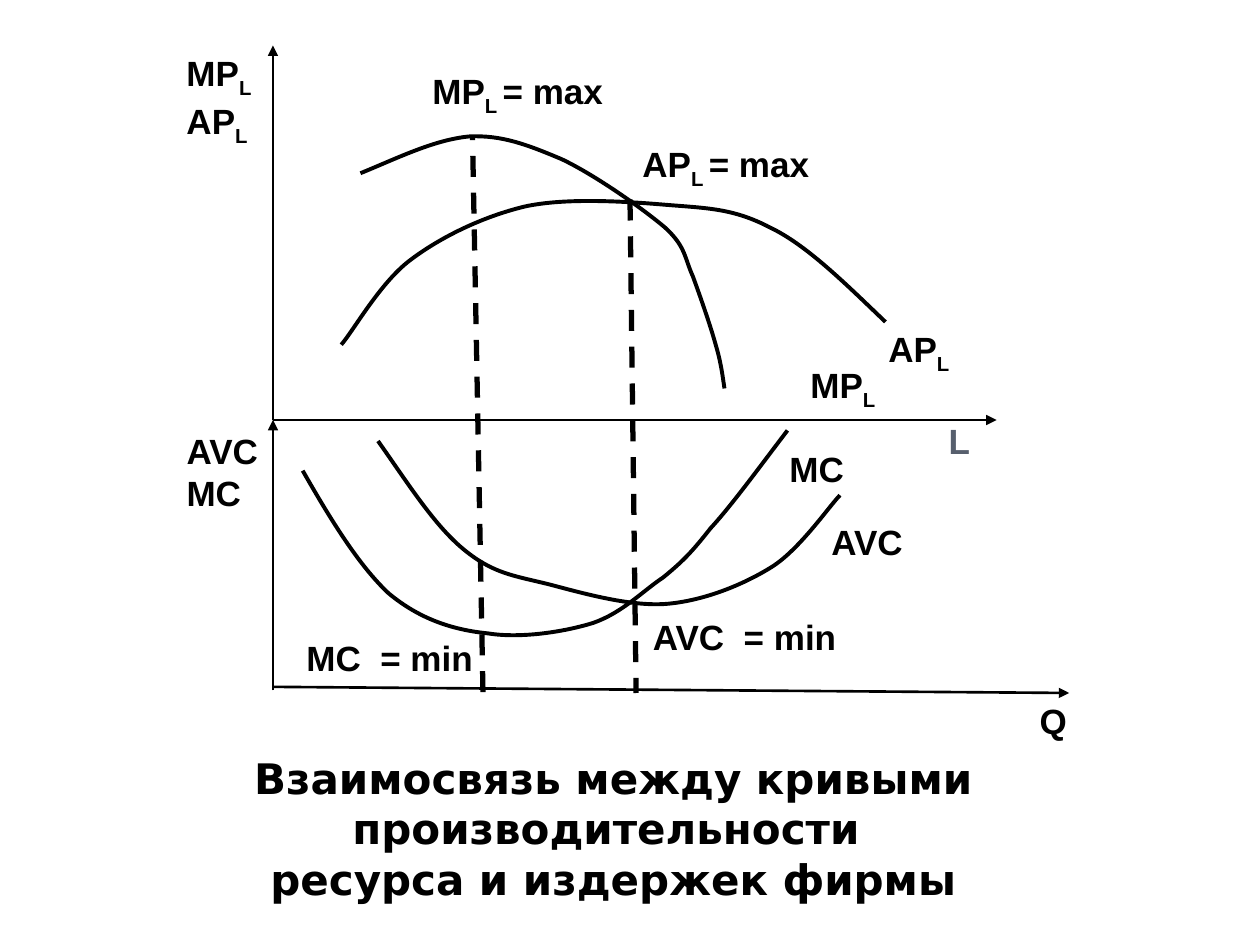
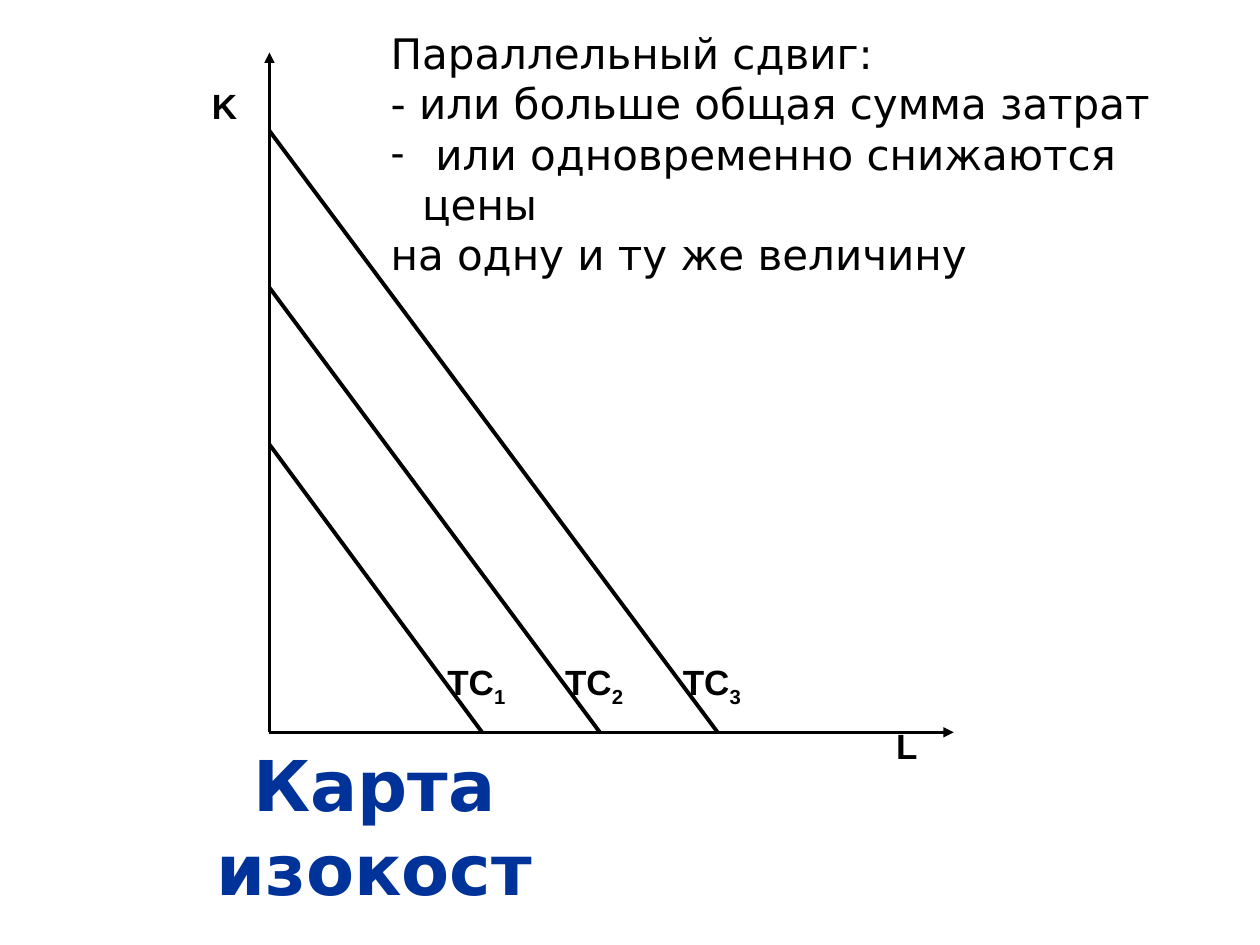
from dataclasses import dataclass

from lxml.etree import SubElement
from pptx import Presentation
from pptx.dml.color import RGBColor
from pptx.enum.dml import MSO_LINE
from pptx.enum.shapes import MSO_CONNECTOR, MSO_SHAPE
from pptx.enum.text import MSO_ANCHOR, MSO_AUTO_SIZE, PP_ALIGN
from pptx.oxml.ns import qn
from pptx.util import Pt

BLACK = "000000"
WHITE = "FFFFFF"
BLUE = "003399"
LABEL_FONT = "Arial"
TEXT_FONT = "DejaVu Sans"
AXIS_WIDTH = 1.5
CURVE_WIDTH = 2.25


@dataclass
class Label:
    text: str
    x: float
    y: float
    w: float
    h: float
    color: str = BLACK


@dataclass
class Line:
    start: tuple[float, float]
    end: tuple[float, float]
    width: float = AXIS_WIDTH
    arrow: bool = False
    dashed: bool = False


PRODUCT_AND_COST_LINES = [
    Line((156, 240), (156, 26), arrow=True),
    Line((156, 240), (569.5, 240), arrow=True),
    Line((156, 394.5), (156, 240), arrow=True),
    Line((156, 392.5), (611, 396), arrow=True),
    Line((360, 114), (363.5, 396), width=3, dashed=True),
    Line((276, 395.5), (270, 78), width=3, dashed=True),
]

AVERAGE_PRODUCT = [
    (506, 184), (483, 162), (461, 140), (440, 130), (419, 119), (404, 119),
    (380, 117), (356, 115), (323, 113), (300, 118), (275, 124), (251, 136),
    (234, 149), (217, 162), (202, 189), (195, 197),
]
MARGINAL_PRODUCT = [
    (206, 99), (228, 90), (248, 80), (268, 78), (287, 77), (302, 83),
    (321, 91), (340, 100), (367, 119), (380, 130), (392, 141), (391, 147),
    (396, 158), (400, 169), (406, 186), (409, 197), (412, 207), (413, 215),
    (414, 222),
]
AVERAGE_COST = [
    (216, 252), (233, 276), (248, 300), (265, 314), (282, 328), (294, 329),
    (314, 334), (333, 339), (361, 347), (382, 345), (403, 343), (425, 334),
    (441, 324), (457, 314), (474, 289), (480, 283),
]
MARGINAL_COST = [
    (173, 269), (189, 297), (205, 323), (222, 339), (240, 354), (259, 360),
    (279, 362), (298, 365), (323, 361), (339, 356), (356, 350), (367, 338),
    (379, 330), (390, 321), (395, 316), (406, 302), (418, 289), (434, 267),
    (450, 246),
]

CURVE_LABELS = [
    Label("АР_L _= max", 360, 78, 138, 32),
    Label("MР_L _= max", 240, 36, 144, 32),
    Label("АР_L", 500.5, 183.5, 58, 32),
    Label("MР_L", 456, 204, 58, 32),
    Label("MР_L\nАР_L", 99.5, 26, 58, 42),
    Label("L", 535, 236, 58, 32, "575F6D"),
    Label("Q", 587, 396, 63, 27),
    Label("AVC\nMC", 99.5, 242, 63, 36),
    Label("MC", 444, 252, 63, 27),
    Label("AVC", 468, 294, 63, 27),
    Label("AVC  = min", 366, 348, 125, 27),
    Label("MC  = min", 168, 360, 125, 27),
]


def rgb(color: str) -> RGBColor:
    return RGBColor.from_string(color)


def write(tf, text: str, *, size=20, color=BLACK, bold=True, font=LABEL_FONT,
          align=PP_ALIGN.LEFT, leading=None, anchor=MSO_ANCHOR.TOP) -> None:
    tf.word_wrap = True
    tf.auto_size = MSO_AUTO_SIZE.NONE
    tf.vertical_anchor = anchor
    for i, line in enumerate(text.split("\n")):
        p = tf.paragraphs[0] if i == 0 else tf.add_paragraph()
        p.alignment = align
        p.space_before = Pt(0)
        if leading:
            p.line_spacing = Pt(leading)
        for j, part in enumerate(line.split("_")):
            if not part:
                continue
            r = p.add_run()
            r.text = part
            r.font.size = Pt(size)
            r.font.name = font
            r.font.bold = bold
            r.font.color.rgb = rgb(color)
            if j % 2:
                r.font._element.set("baseline", "-25000")


def place(sp, x: float, y: float, w: float, h: float) -> None:
    sp.left, sp.top, sp.width, sp.height = Pt(x), Pt(y), Pt(w), Pt(h)


def set_bullet(p, char: str = "", indent: float = 0) -> None:
    pPr = p._p.get_or_add_pPr()
    pPr.set("marL", str(Pt(indent)))
    pPr.set("indent", str(-Pt(indent)))
    if char:
        SubElement(pPr, qn("a:buChar")).set("char", char)
    else:
        SubElement(pPr, qn("a:buNone"))


def add_title(s, text: str, x: float, y: float, w: float, h: float,
              size: float, color: str) -> None:
    place(s.shapes.title, x, y, w, h)
    write(s.shapes.title.text_frame, text, size=size, color=color,
          font=TEXT_FONT, align=PP_ALIGN.CENTER, leading=1.2 * size,
          anchor=MSO_ANCHOR.MIDDLE)


def add_label(shapes, label: Label) -> None:
    sp = shapes.add_textbox(Pt(label.x), Pt(label.y), Pt(label.w), Pt(label.h))
    write(sp.text_frame, label.text, color=label.color)


def add_plate(shapes, label: Label):
    sp = shapes.add_shape(MSO_SHAPE.RECTANGLE, Pt(label.x), Pt(label.y),
                          Pt(label.w), Pt(label.h))
    sp.shadow.inherit = False
    sp.fill.solid()
    sp.fill.fore_color.rgb = rgb(WHITE)
    sp.line.fill.background()
    write(sp.text_frame, label.text, color=label.color)
    return sp


def add_line(shapes, line: Line):
    cxn = shapes.add_connector(MSO_CONNECTOR.STRAIGHT,
                               *map(Pt, line.start + line.end))
    cxn.line.width = Pt(line.width)
    cxn.line.color.rgb = rgb(BLACK)
    if line.dashed:
        cxn.line.dash_style = MSO_LINE.DASH
    spPr = cxn.element.spPr
    if line.arrow:
        SubElement(spPr.find(qn("a:ln")), qn("a:tailEnd")).set("type", "triangle")
    SubElement(spPr, qn("a:effectLst"))
    return cxn


def add_curve(shapes, points: list[tuple[int, int]]) -> None:
    builder = shapes.build_freeform(*points[0], scale=Pt(1))
    builder.add_line_segments(points[1:], close=False)
    sp = builder.convert_to_shape()
    sp.shadow.inherit = False
    sp.fill.background()
    sp.line.width = Pt(CURVE_WIDTH)
    sp.line.color.rgb = rgb(BLACK)
    path = next(sp.element.iter(qn("a:path")))
    segments = path.findall(qn("a:lnTo"))
    knots = [segment[0] for segment in segments]
    for segment in segments:
        path.remove(segment)
    for i in range(0, len(knots), 3):
        SubElement(path, qn("a:cubicBezTo")).extend(knots[i:i + 3])


def build_curves_slide(prs) -> None:
    s = prs.slides.add_slide(prs.slide_layouts[5])
    add_title(s, "Взаимосвязь между кривыми производительности \n"
                 "ресурса и издержек фирмы", 30, 426, 641, 94.5, 24, BLACK)
    for line in PRODUCT_AND_COST_LINES:
        add_line(s.shapes, line)
    for points in (AVERAGE_PRODUCT, MARGINAL_PRODUCT, AVERAGE_COST, MARGINAL_COST):
        add_curve(s.shapes, points)
    for label in CURVE_LABELS:
        add_label(s.shapes, label)


def build_isocost_slide(prs) -> None:
    s = prs.slides.add_slide(prs.slide_layouts[1])
    add_title(s, "Карта изокост", 66, 444, 296, 55.5, 40, BLUE)

    body = s.placeholders[1]
    place(body, 216, 12, 489, 124)
    write(body.text_frame, "Параллельный сдвиг:\n"
                           "- или больше общая сумма затрат\n"
                           " или одновременно снижаются цены\n"
                           "на одну и ту же величину",
          size=24, bold=False, font=TEXT_FONT, leading=28.8)
    for i, p in enumerate(body.text_frame.paragraphs):
        if i == 2:
            set_bullet(p, "-", 18)
        else:
            set_bullet(p)

    left, base = 154, 418.5
    plate_h = 44.5
    shapes = s.shapes.add_group_shape().shapes
    add_plate(shapes, Label("K", 114, 44.5, 40, plate_h))
    add_plate(shapes, Label("L", 505, 410.5, 40, plate_h))
    plates = [add_plate(shapes, Label(f"ТС_{k + 1}", 248.5 + 67.3 * k,
                                      base - plate_h, 54, plate_h))
              for k in range(3)]
    add_line(shapes, Line((left, base), (left, 30), arrow=True))
    add_line(shapes, Line((left, base), (545, base), arrow=True))
    for k, plate in enumerate(plates):
        isocost = add_line(shapes, Line((left, 254 - 89.6 * k),
                                        (275.5 + 67.3 * k, base), CURVE_WIDTH))
        isocost.end_connect(plate, 2)


def main() -> None:
    prs = Presentation()
    prs.slide_width, prs.slide_height = Pt(720), Pt(540)
    build_curves_slide(prs)
    build_isocost_slide(prs)
    prs.save("out.pptx")


if __name__ == "__main__":
    main()
